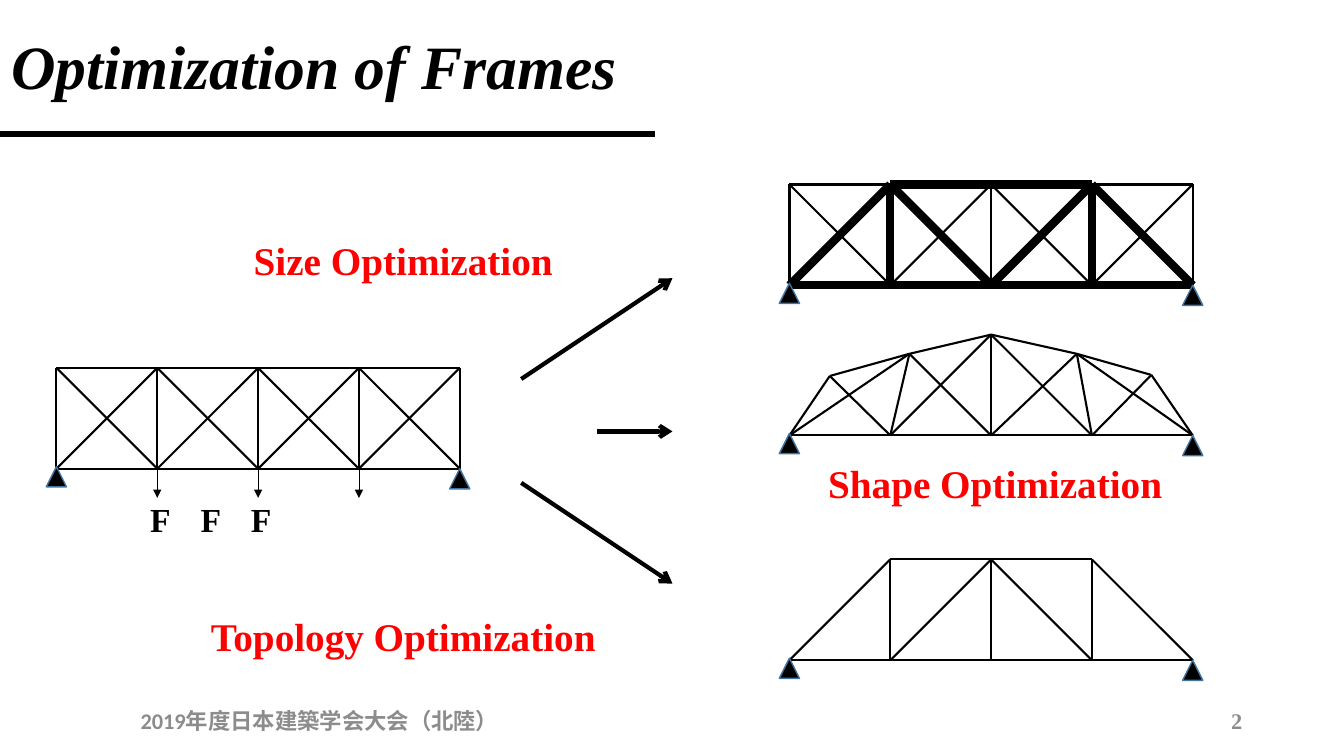
from dataclasses import dataclass

from lxml import etree
from pptx import Presentation
from pptx.dml.color import RGBColor
from pptx.enum.shapes import MSO_CONNECTOR, MSO_SHAPE
from pptx.enum.text import MSO_ANCHOR, MSO_AUTO_SIZE, PP_ALIGN
from pptx.oxml.ns import qn
from pptx.util import Inches, Pt

STRAIGHT = MSO_CONNECTOR.STRAIGHT
TRIANGLE = MSO_SHAPE.ISOSCELES_TRIANGLE
LEFT, CENTER, RIGHT, JUSTIFY = PP_ALIGN.LEFT, PP_ALIGN.CENTER, PP_ALIGN.RIGHT, PP_ALIGN.JUSTIFY
TOP, MIDDLE = MSO_ANCHOR.TOP, MSO_ANCHOR.MIDDLE

SERIF, SANS = "Times New Roman", "Calibri"
BLACK, RED, GRAY, SUPPORT_EDGE = "000000", "FF0000", "8C8C8C", "43739E"
PANELS = 4
PANEL = 1.0
SUPPORT = 0.2
THIN, THICK = 1.5, 6

Point = tuple[float, float]


@dataclass
class Truss:
    """Members are named by their end nodes: B0-B4 at the bottom, T0-T4 at the top."""
    left: float
    bottom: float
    members: str
    thick: str = ""
    top_nodes: tuple[Point, ...] = ()


@dataclass
class Arrow:
    start: Point
    end: Point
    width: float
    head: str


@dataclass
class Label:
    text: str
    box: tuple[float, float, float, float]
    size: float
    color: str
    font: str = SERIF
    align: PP_ALIGN = CENTER
    anchor: MSO_ANCHOR = TOP


WEB = "B0T0 B1T1 B2T2 B3T3 B4T4 B0T1 B1T2 B2T3 B3T4 T0B1 T1B2 T2B3 T3B4 B0B4 "
ARCH = ((8.23, 3.73), (9.02, 3.51), (9.83, 3.32), (10.68, 3.51), (11.42, 3.72))

TRUSSES = [
    Truss(0.56, 4.65, WEB + "T0T4"),
    Truss(7.83, 2.83, WEB + "T0T1 T1T3 T3T4",
          thick="B1T1 B3T3 B0B4 B0T1 B2T3 T1B2 T3B4 T1T3"),
    Truss(7.83, 4.32, WEB + "T0T1 T1T2 T2T3 T3T4", top_nodes=ARCH),
    Truss(7.83, 6.55, "B1T1 B2T2 B3T3 B0T1 B1T2 T2B3 T3B4 B0B4 T1T3"),
]

LOADS = [Arrow((x, 4.64), (x, 4.94), 0.5, "triangle") for x in (1.56, 2.56, 3.56)]
METHOD_ARROWS = [
    Arrow((5.17, 3.76), (6.67, 2.76), 3, "arrow"),
    Arrow((5.92, 4.28), (6.67, 4.28), 3, "arrow"),
    Arrow((5.17, 4.79), (6.67, 5.79), 3, "arrow"),
]

LABELS = [
    Label("Size Optimization", (2.4, 2.3, 3.2, 0.57), 28, RED),
    Label("Shape Optimization", (8.09, 4.51, 3.56, 0.57), 28, RED),
    Label("Topology Optimization", (1.97, 6.03, 4.06, 0.57), 28, RED),
    Label("F\tF\tF", (1.39, 4.9, 2.49, 0.5), 24, BLACK, align=JUSTIFY),
    Label("2019年度日本建築学会大会（北陸）", (0.92, 6.95, 4.5, 0.4), 16, GRAY,
          font=SANS, anchor=MIDDLE),
    Label("2", (9.42, 6.95, 3, 0.4), 16, GRAY, align=RIGHT, anchor=MIDDLE),
]


def rgb(color: str) -> RGBColor:
    return RGBColor.from_string(color)


def draw_line(slide, start: Point, end: Point, width: float, head: str = "") -> None:
    line = slide.shapes.add_connector(STRAIGHT, *map(Inches, start + end))
    line.line.color.rgb = rgb(BLACK)
    line.line.width = Pt(width)
    properties = line._element.spPr
    if head:
        etree.SubElement(properties.find(qn("a:ln")), qn("a:tailEnd"), type=head)
    etree.SubElement(properties, qn("a:effectLst"))


def draw_support(slide, x: float, top: float) -> None:
    support = slide.shapes.add_shape(
        TRIANGLE, *map(Inches, (x - SUPPORT / 2, top, SUPPORT, SUPPORT)))
    support.shadow.inherit = False
    support.fill.solid()
    support.fill.fore_color.rgb = rgb(BLACK)
    support.line.color.rgb = rgb(SUPPORT_EDGE)
    support.line.width = Pt(1)


def draw_truss(slide, truss: Truss) -> None:
    nodes: dict[str, Point] = {}
    for i in range(PANELS + 1):
        x = truss.left + i * PANEL
        nodes[f"B{i}"] = (x, truss.bottom)
        nodes[f"T{i}"] = truss.top_nodes[i] if truss.top_nodes else (x, truss.bottom - PANEL)
    thick = truss.thick.split()
    for member in truss.members.split():
        draw_line(slide, nodes[member[:2]], nodes[member[2:]],
                  THICK if member in thick else THIN)
    draw_support(slide, truss.left, truss.bottom - 0.02)
    draw_support(slide, truss.left + PANELS * PANEL, truss.bottom)


def write_label(shape, label: Label, italic: bool = False) -> None:
    shape.left, shape.top, shape.width, shape.height = map(Inches, label.box)
    frame = shape.text_frame
    frame.text = label.text
    frame.word_wrap = True
    frame.auto_size = MSO_AUTO_SIZE.NONE
    frame.vertical_anchor = label.anchor
    paragraph = frame.paragraphs[0]
    paragraph.alignment = label.align
    for run in paragraph.runs:
        run.font.name = label.font
        run.font.size = Pt(label.size)
        run.font.bold = True
        run.font.italic = italic
        run.font.color.rgb = rgb(label.color)


def main() -> None:
    deck = Presentation()
    deck.slide_width, deck.slide_height = Inches(13.33), Inches(7.5)
    slide = deck.slides.add_slide(deck.slide_layouts.get_by_name("Title Only"))

    heading = Label("Optimization of Frames", (0.01, 0.18, 6.24, 0.92), 44, BLACK,
                    align=LEFT, anchor=MIDDLE)
    write_label(slide.shapes.title, heading, italic=True)
    draw_line(slide, (0, 1.33), (6.5, 1.33), 4.5)

    for truss in TRUSSES:
        draw_truss(slide, truss)
    for arrow in LOADS + METHOD_ARROWS:
        draw_line(slide, arrow.start, arrow.end, arrow.width, arrow.head)
    for label in LABELS:
        write_label(slide.shapes.add_textbox(*map(Inches, label.box)), label)

    deck.save("out.pptx")


if __name__ == "__main__":
    main()
